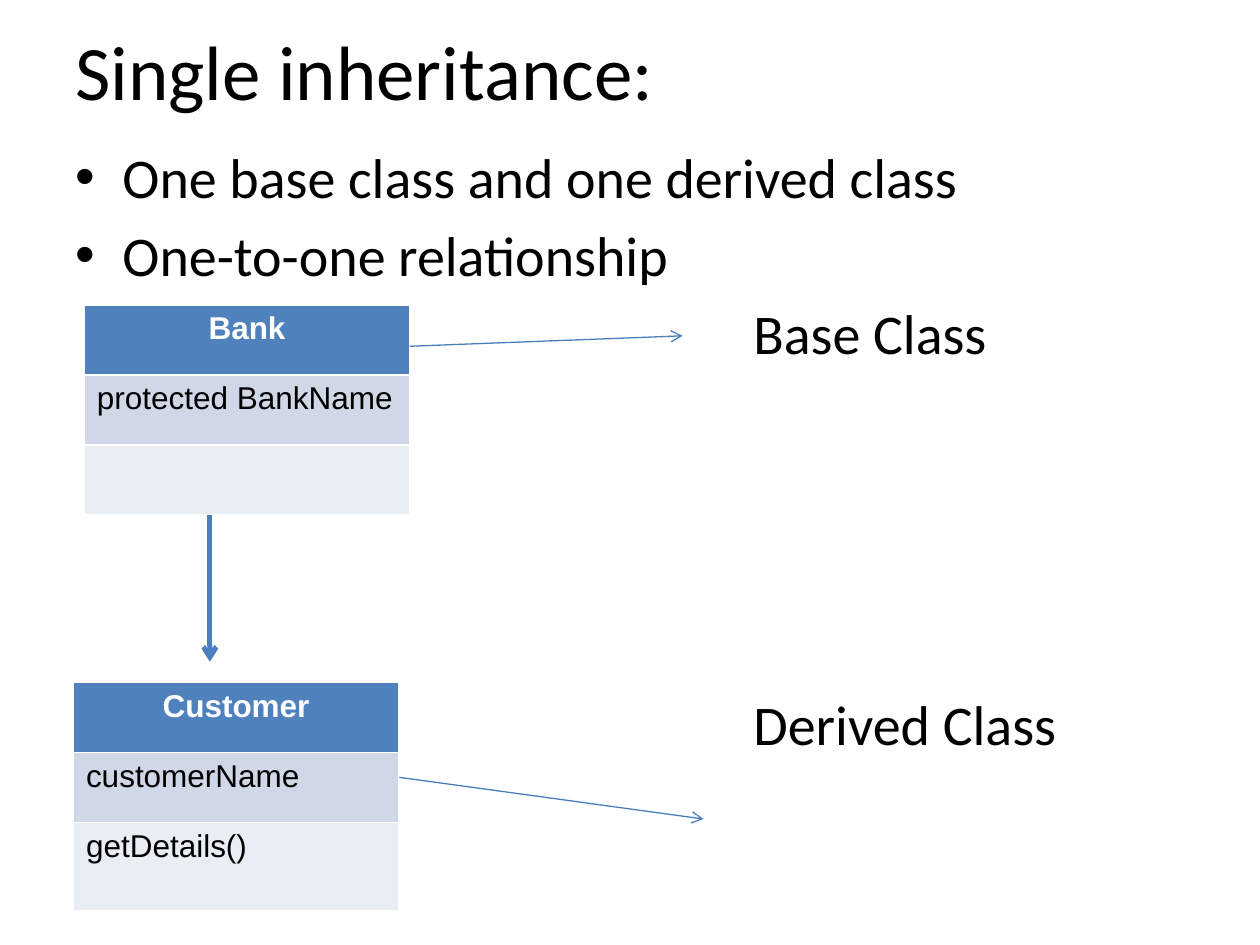
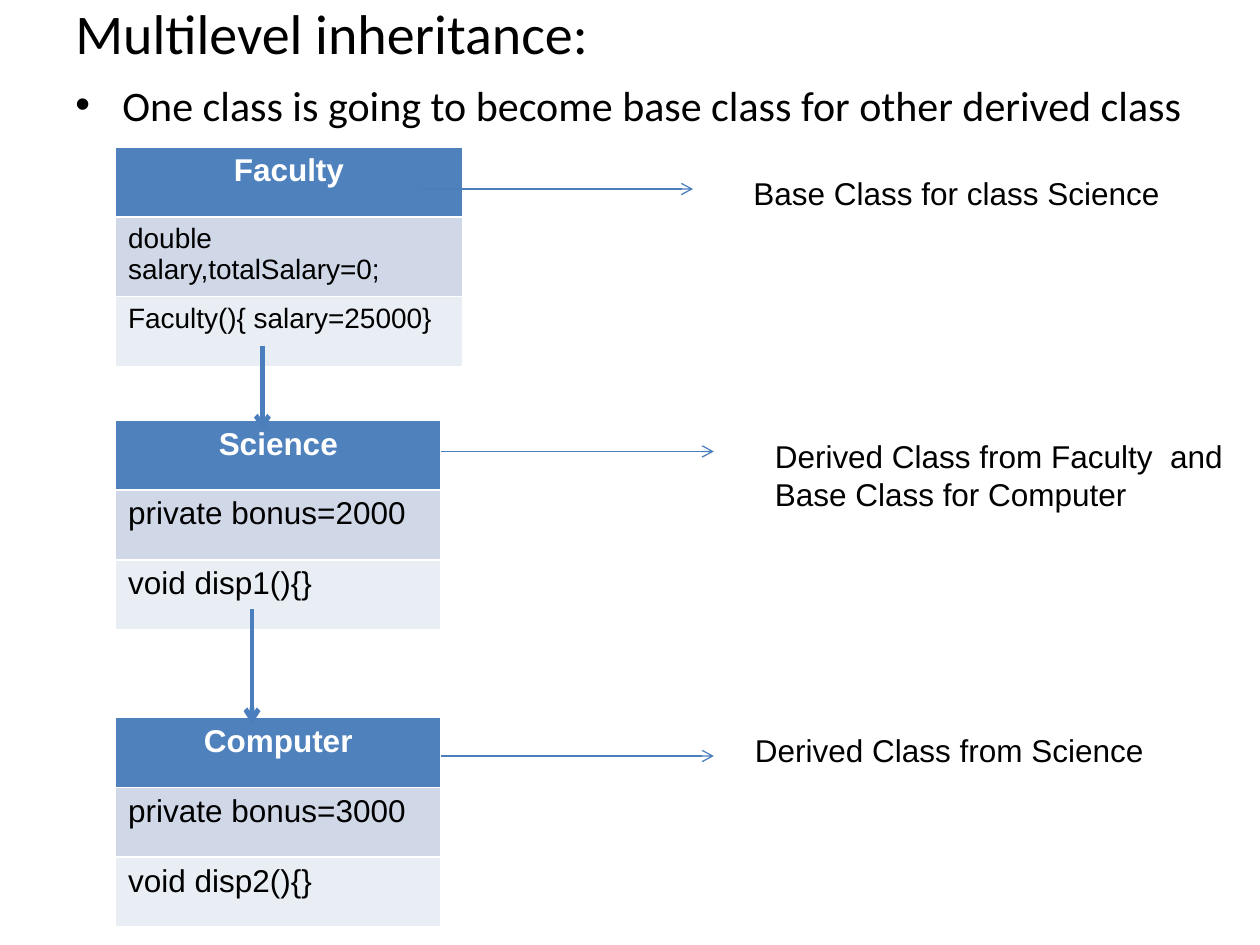
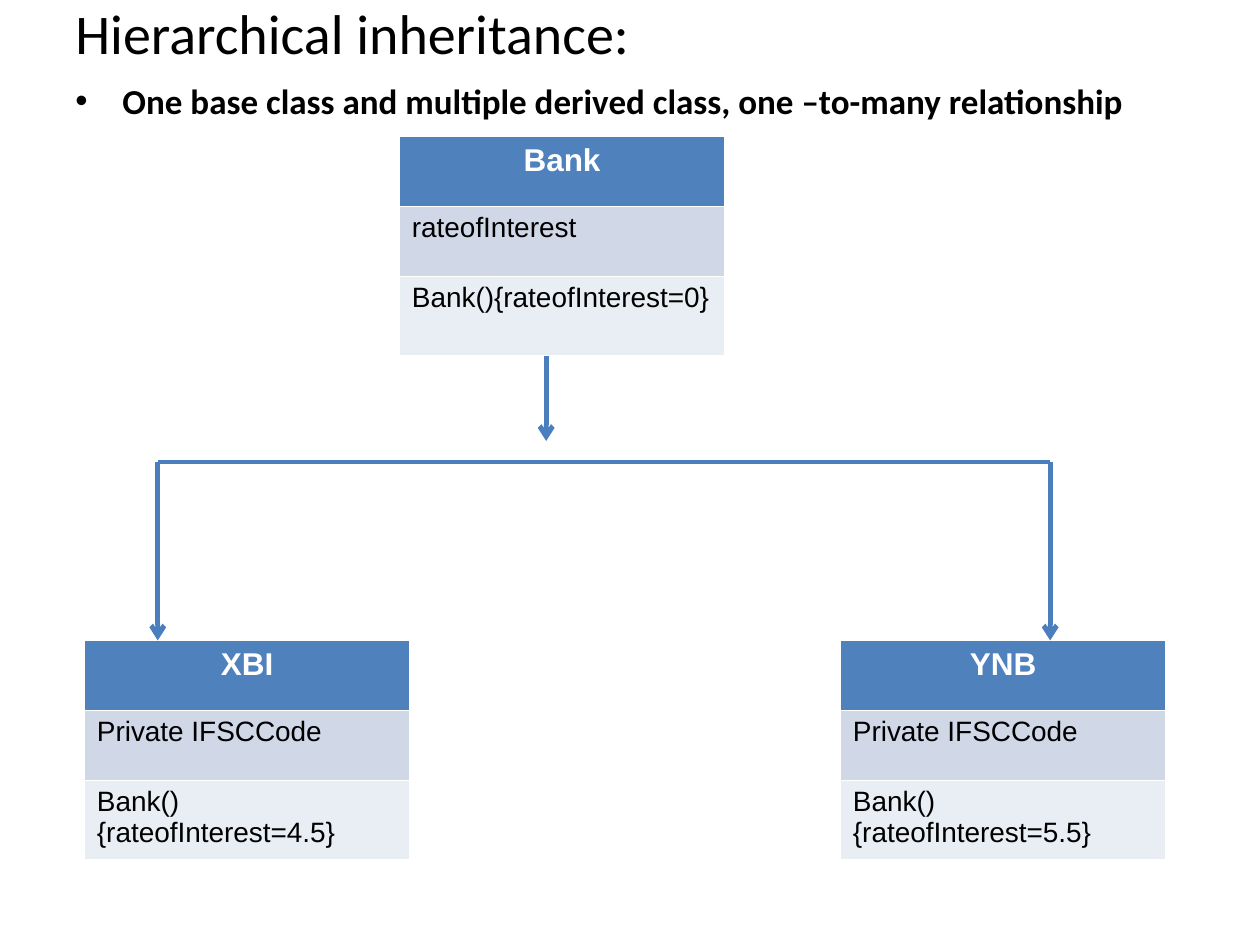
from dataclasses import dataclass

import pptx
import pptx.dml.color
import pptx.enum.shapes
import pptx.enum.text
import pptx.oxml
import pptx.oxml.ns
import pptx.util
import pptx.slide
import pptx.text.text

Cm = pptx.util.Cm
Pt = pptx.util.Pt


@dataclass(frozen=True)
class Theme:
    heading_font: str = "Calibri"
    label_font: str = "Arial"
    ink: str = "000000"
    white: str = "FFFFFF"
    header_fill: str = "4F81BD"
    row_fills: tuple[str, ...] = ("D0D8E8", "E9EDF4")
    line: str = "4B7EBC"
    large: float = 44
    medium: float = 32
    small: float = 24
    note: float = 20
    label: float = 18
    code: float = 16
    thin: float = 0.75
    rail: float = 2.25
    thick: float = 2.75
    margin: float = 1.27
    bullet_indent: float = 0.95
    class_width: float = 6.56
    row_height: float = 1.41


THEME = Theme()


@dataclass(frozen=True)
class Box:
    left: float
    top: float
    width: float
    height: float


@dataclass(frozen=True)
class BodyLine:
    text: str
    size: float = THEME.medium
    bold: bool = False
    bullet: bool = True
    indent: float = THEME.bullet_indent
    space_before: float = 0


@dataclass(frozen=True)
class ClassTable:
    left: float
    top: float
    name: str
    members: tuple[str, str]
    size: float = THEME.label
    width: float = THEME.class_width
    last_height: float = THEME.row_height


@dataclass(frozen=True)
class Line:
    start: tuple[float, float]
    end: tuple[float, float]
    width: float = THEME.thin
    arrow: bool = True


@dataclass(frozen=True)
class Label:
    left: float
    top: float
    lines: tuple[str, ...]
    width: float = 9.9


@dataclass(frozen=True)
class Diagram:
    title: str
    title_box: Box
    title_size: float
    body_box: Box
    body: tuple[BodyLine, ...]
    classes: tuple[ClassTable, ...]
    lines: tuple[Line, ...]
    labels: tuple[Label, ...] = ()


LARGE_TITLE = Box(THEME.margin, 0.46, 22.86, 1.9)
SMALL_TITLE = Box(THEME.margin, 0, 22.86, 1.3)
LARGE_BODY = Box(THEME.margin, 2.74, 22.86, 16.31)
SMALL_BODY = Box(THEME.margin, 1.47, 24.13, 17.58)

DIAGRAMS = (
    Diagram(
        "Single inheritance:", LARGE_TITLE, THEME.large, LARGE_BODY,
        (
            BodyLine("One base class and one derived class"),
            BodyLine("One-to-one relationship", space_before=6.4),
            BodyLine("Base Class", bullet=False, indent=13.67, space_before=6.4),
            BodyLine("Derived Class", bullet=False, indent=13.67, space_before=185),
        ),
        (
            ClassTable(1.7, 6.15, "Bank", ("protected BankName", "")),
            ClassTable(1.48, 13.76, "Customer", ("customerName", "getDetails()"), last_height=1.78),
        ),
        (
            Line((8.26, 6.98), (13.76, 6.77)),
            Line((8.05, 15.67), (14.18, 16.51)),
            Line((4.23, 10.39), (4.23, 13.34), THEME.thick),
        ),
    ),
    Diagram(
        "Multilevel inheritance:", SMALL_TITLE, THEME.medium, SMALL_BODY,
        (BodyLine("One class is going to become base class for other derived class", THEME.small),),
        (
            ClassTable(2.33, 8.47, "Science", ("private bonus=2000", "void disp1(){}")),
            ClassTable(2.33, 14.46, "Computer", ("private bonus=3000", "void disp2(){}")),
            ClassTable(2.33, 2.96, "Faculty", ("double salary,totalSalary=0;", "Faculty(){ salary=25000}"),
                       THEME.code, 6.99),
        ),
        (
            Line((5.08, 12.28), (5.08, 14.6), THEME.thick),
            Line((5.29, 6.98), (5.29, 8.68), THEME.thick),
            Line((8.47, 3.81), (13.97, 3.81)),
            Line((8.89, 9.1), (14.39, 9.1)),
            Line((8.89, 15.24), (14.39, 15.24)),
        ),
        (
            Label(14.94, 3.39, ("Base Class for class Science",)),
            Label(15.37, 8.68, ("Derived Class from Faculty  and", "Base Class for Computer")),
            Label(14.97, 14.61, ("Derived Class from Science",)),
        ),
    ),
    Diagram(
        "Hierarchical inheritance:", SMALL_TITLE, THEME.medium, SMALL_BODY,
        (BodyLine("One base class and multiple derived class, one –to-many relationship", THEME.note, True),),
        (
            ClassTable(1.7, 12.91, "XBI", ("Private IFSCCode", "Bank(){rateofInterest=4.5}"), THEME.code),
            ClassTable(16.94, 12.91, "YNB", ("Private IFSCCode", "Bank(){rateofInterest=5.5}"), THEME.code),
            ClassTable(8.05, 2.75, "Bank", ("rateofInterest", "Bank(){rateofInterest=0}"), THEME.code,
                       last_height=1.6),
        ),
        (
            Line((11.01, 7.18), (11.01, 8.89), THEME.thick),
            Line((3.18, 9.31), (21.17, 9.31), THEME.rail, False),
            Line((3.18, 9.31), (3.18, 12.91), THEME.thick),
            Line((21.17, 9.31), (21.17, 12.91), THEME.thick),
        ),
    ),
)


def color(value: str) -> pptx.dml.color.RGBColor:
    return pptx.dml.color.RGBColor.from_string(value)


def add_span(para: pptx.text.text._Paragraph, text: str, size: float, font: str,
             ink: str = THEME.ink, bold: bool = False) -> None:
    span = para.add_run()
    span.text = text
    span.font.name = font
    span.font.size = Pt(size)
    span.font.bold = bold
    span.font.color.rgb = color(ink)


def add_text_frame(page: pptx.slide.Slide, box: Box) -> pptx.text.text.TextFrame:
    shape = page.shapes.add_textbox(Cm(box.left), Cm(box.top), Cm(box.width), Cm(box.height))
    shape.text_frame.word_wrap = True
    return shape.text_frame


def next_para(frame: pptx.text.text.TextFrame, index: int) -> pptx.text.text._Paragraph:
    return frame.add_paragraph() if index else frame.paragraphs[0]


def append_xml(parent, tag: str, **attributes: str) -> None:
    child = parent.makeelement(pptx.oxml.ns.qn(tag), attributes)
    parent.append(child)


def draw_title(page: pptx.slide.Slide, diagram: Diagram) -> None:
    frame = add_text_frame(page, diagram.title_box)
    frame.vertical_anchor = pptx.enum.text.MSO_ANCHOR.MIDDLE
    add_span(frame.paragraphs[0], diagram.title, diagram.title_size, THEME.heading_font)


def draw_body(page: pptx.slide.Slide, diagram: Diagram) -> None:
    frame = add_text_frame(page, diagram.body_box)
    for index, line in enumerate(diagram.body):
        para = next_para(frame, index)
        if line.space_before:
            para.space_before = Pt(line.space_before)
        properties = para._p.get_or_add_pPr()
        properties.set("marL", str(Cm(line.indent)))
        if line.bullet:
            properties.set("indent", str(-Cm(line.indent)))
            append_xml(properties, "a:buFont", typeface=THEME.label_font)
            append_xml(properties, "a:buChar", char="•")
        add_span(para, line.text, line.size, THEME.heading_font, bold=line.bold)


def draw_class(page: pptx.slide.Slide, item: ClassTable) -> None:
    heights = (THEME.row_height, THEME.row_height, item.last_height)
    table = page.shapes.add_table(3, 1, Cm(item.left), Cm(item.top), Cm(item.width), Cm(sum(heights))).table
    texts = (item.name, *item.members)
    fills = (THEME.header_fill, *THEME.row_fills)
    for index, (text, fill, height) in enumerate(zip(texts, fills, heights)):
        table.rows[index].height = Cm(height)
        cell = table.cell(index, 0)
        cell.fill.solid()
        cell.fill.fore_color.rgb = color(fill)
        para = cell.text_frame.paragraphs[0]
        if index == 0:
            para.alignment = pptx.enum.text.PP_ALIGN.CENTER
            add_span(para, text, THEME.label, THEME.label_font, THEME.white, True)
        elif text:
            add_span(para, text, item.size, THEME.label_font)


def draw_line(page: pptx.slide.Slide, line: Line) -> None:
    connector = page.shapes.add_connector(
        pptx.enum.shapes.MSO_CONNECTOR.STRAIGHT, *map(Cm, (*line.start, *line.end)))
    connector.line.color.rgb = color(THEME.line)
    connector.line.width = Pt(line.width)
    if line.arrow:
        append_xml(connector.line._get_or_add_ln(), "a:tailEnd", type="arrow")
    append_xml(connector._element.spPr, "a:effectLst")


def draw_label(page: pptx.slide.Slide, label: Label) -> None:
    frame = add_text_frame(page, Box(label.left, label.top, label.width, 0.25 + 0.77 * len(label.lines)))
    for index, text in enumerate(label.lines):
        add_span(next_para(frame, index), text, THEME.label, THEME.label_font)


def main() -> None:
    deck = pptx.Presentation()
    deck.slide_width = Cm(25.4)
    deck.slide_height = Cm(19.05)
    for diagram in DIAGRAMS:
        page = deck.slides.add_slide(deck.slide_layouts[6])
        draw_title(page, diagram)
        draw_body(page, diagram)
        for item in diagram.classes:
            draw_class(page, item)
        for line in diagram.lines:
            draw_line(page, line)
        for label in diagram.labels:
            draw_label(page, label)
    deck.save("out.pptx")


if __name__ == "__main__":
    main()
